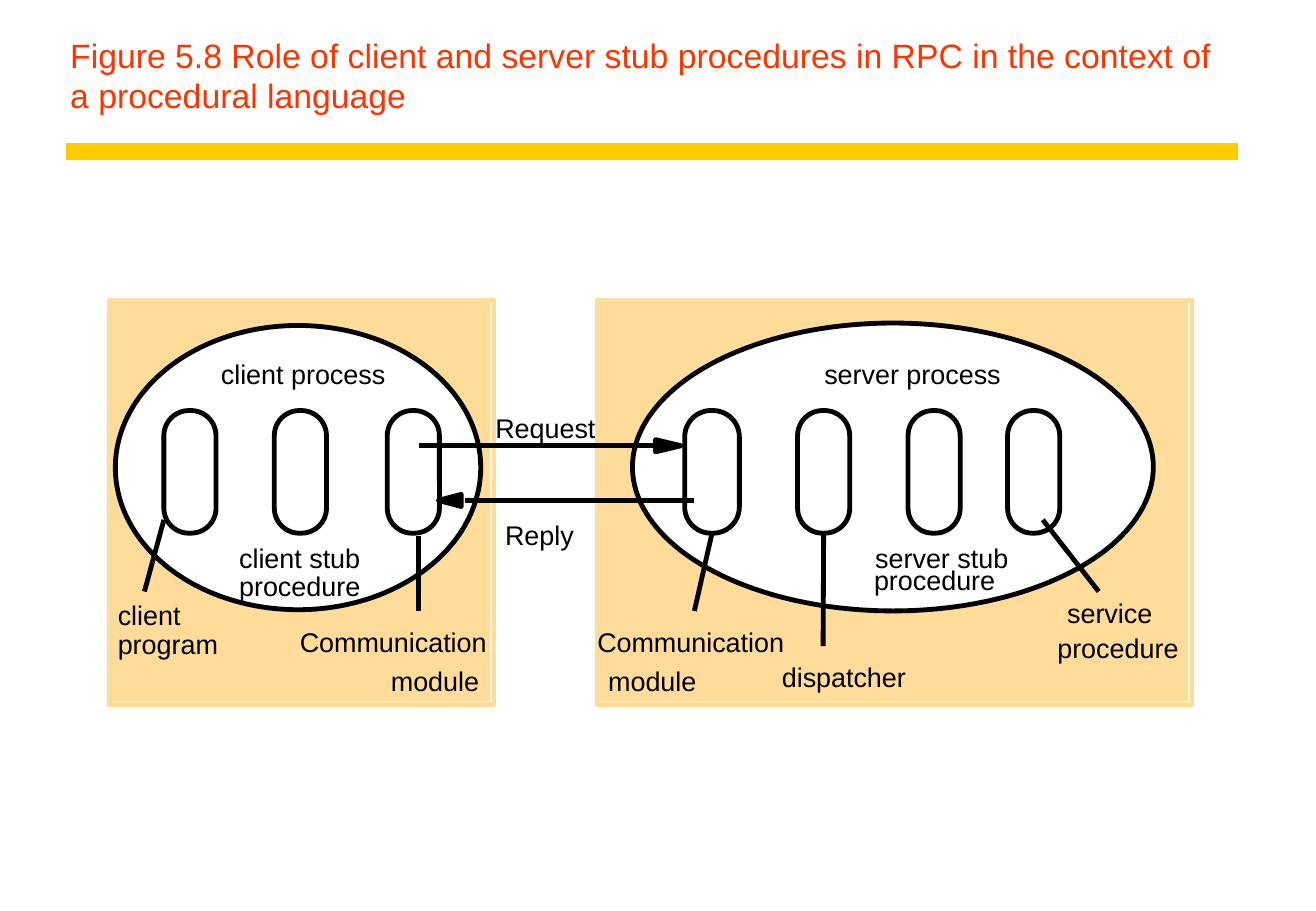
from dataclasses import dataclass
from lxml import etree
from pptx import Presentation
from pptx import util as u
from pptx.dml import color
from pptx.enum import shapes, text
from pptx.oxml import ns


@dataclass(frozen=True)
class Theme:
    title: str = "FF3300"
    rule: str = "FFCC00"
    panel: str = "FFDC99"
    ink: str = "000000"
    paper: str = "FFFFFF"
    font: str = "Arial"
    head: float = 20
    body: float = 16
    thin: float = 2.86
    thick: float = 10


THEME = Theme()
KIND = shapes.MSO_SHAPE


def rgb(code):
    return color.RGBColor.from_string(code)


def put_text(slide, words, x, y, w, h=0.27, size=THEME.body, tint=THEME.ink,
             wrap=False, pad=(0, 0), anchor=text.MSO_ANCHOR.TOP):
    box = slide.shapes.add_textbox(*map(u.Inches, (x, y, w, h)))
    frame = box.text_frame
    frame.word_wrap = wrap
    frame.vertical_anchor = anchor
    frame.margin_left = frame.margin_right = u.Inches(pad[0])
    frame.margin_top = frame.margin_bottom = u.Inches(pad[1])
    run = frame.paragraphs[0].add_run()
    run.text = words
    run.font.name = THEME.font
    run.font.size = u.Pt(size)
    run.font.color.rgb = rgb(tint)


def paint(shape, fill=None, edge=None):
    shape.shadow.inherit = False
    if fill:
        shape.fill.solid()
        shape.fill.fore_color.rgb = rgb(fill)
    else:
        shape.fill.background()
    if edge:
        shape.line.color.rgb = rgb(edge)
        shape.line.width = u.Pt(THEME.thin)
    else:
        shape.line.fill.background()


def put_shape(slide, kind, x, y, w, h, fill=None, edge=None):
    shape = slide.shapes.add_shape(kind, *map(u.Inches, (x, y, w, h)))
    paint(shape, fill, edge)
    return shape


def put_line(slide, x1, y1, x2, y2, tint=THEME.ink, width=THEME.thin):
    line = slide.shapes.add_connector(
        shapes.MSO_CONNECTOR.STRAIGHT, *map(u.Inches, (x1, y1, x2, y2)))
    line.line.color.rgb = rgb(tint)
    line.line.width = u.Pt(width)
    props = line._element.spPr
    etree.SubElement(props, ns.qn("a:effectLst"))
    return line


def put_head(slide, base, tip, y):
    half = 0.05
    form = slide.shapes.build_freeform(u.Inches(base), u.Inches(y - half))
    form.add_line_segments([(u.Inches(tip), u.Inches(y)),
                            (u.Inches(base), u.Inches(y + half))])
    paint(form.convert_to_shape(), THEME.ink, THEME.ink)


def draw_title(slide, x, y, w, h):
    put_line(slide, x + 0.06, y + 1, x + w, y + 1, THEME.rule, THEME.thick)
    put_text(slide, "Figure 5.8 Role of client and server stub procedures "
             "in RPC in the context of a procedural language",
             x, y, w, h, size=THEME.head, tint=THEME.title, wrap=True,
             pad=(0.1, 0.05), anchor=text.MSO_ANCHOR.BOTTOM)


def draw_side(slide, x, y, w, h, oval, pills, leads, labels):
    rim = 0.03
    put_shape(slide, KIND.RECTANGLE, x, y, w, h, fill=THEME.panel)
    put_shape(slide, KIND.RECTANGLE, x, y, w + rim, h + rim, edge=THEME.panel)
    left, top, wide, high = oval
    put_shape(slide, KIND.OVAL, x + left, y + top, wide, high,
              THEME.paper, THEME.ink)
    made = []
    for left, wide in pills:
        pill = put_shape(slide, KIND.ROUNDED_RECTANGLE, x + left, y + 0.91,
                         wide, 1.01, edge=THEME.ink)
        pill.adjustments[0] = 0.48
        made.append(pill)
    for x1, y1, x2, y2, joint in leads:
        line = put_line(slide, x + x1, y + y1, x + x2, y + y2)
        if joint is not None:
            line.end_connect(made[joint], 2)
    for words, left, top, wide in labels:
        put_text(slide, words, x + left, y + top, wide)


def draw_calls(slide, x, y, w):
    put_line(slide, x, y, x + w - 0.32, y)
    put_head(slide, x + w - 0.32, x + w - 0.11, y)
    put_text(slide, "Request", x + 0.63, y - 0.28, 0.9)
    low = y + 0.45
    put_line(slide, x + 0.38, low, x + w, low)
    put_head(slide, x + 0.35, x + 0.16, low)
    put_text(slide, "Reply", x + 0.71, low + 0.15, 0.65)


def main():
    deck = Presentation()
    deck.slide_width, deck.slide_height = u.Inches(10.84), u.Inches(7.5)
    slide = deck.slides.add_slide(deck.slide_layouts[6])
    draw_title(slide, 0.48, 0.25, 9.72, 0.75)
    draw_side(
        slide, 0.9, 2.47, 3.14, 3.3, (0.05, 0.21, 3.01, 2.34),
        [(0.45, 0.43), (1.36, 0.43), (2.29, 0.43)],
        [(0.29, 2.4, 0.45, 1.81, None), (2.55, 2.56, 2.55, 1.94, None)],
        [("client process", 0.92, 0.47, 1.5),
         ("client stub", 1.07, 1.99, 1.1),
         ("procedure", 1.07, 2.22, 1.1),
         ("client", 0.07, 2.46, 0.65),
         ("program", 0.07, 2.7, 0.95),
         ("Communication", 1.57, 2.68, 1.6),
         ("module", 2.32, 3, 0.8)])
    draw_side(
        slide, 4.92, 2.47, 4.87, 3.3, (0.29, 0.19, 4.29, 2.37),
        [(0.72, 0.45), (1.65, 0.43), (2.56, 0.43), (3.38, 0.43)],
        [(0.8, 2.56, 0.96, 1.94, 0), (1.86, 2.85, 1.86, 1.92, 1),
         (4.13, 2.4, 3.67, 1.81, None)],
        [("server process", 1.87, 0.47, 1.6),
         ("server stub", 2.29, 1.99, 1.2),
         ("procedure", 2.28, 2.17, 1.1),
         ("Communication", 0, 2.68, 1.6),
         ("module", 0.09, 3, 0.8),
         ("dispatcher", 1.52, 2.97, 1.15),
         ("service", 3.87, 2.44, 0.85),
         ("procedure", 3.79, 2.73, 1.1)])
    draw_calls(slide, 3.45, 3.67, 2.27)
    deck.save("out.pptx")


if __name__ == "__main__":
    main()
